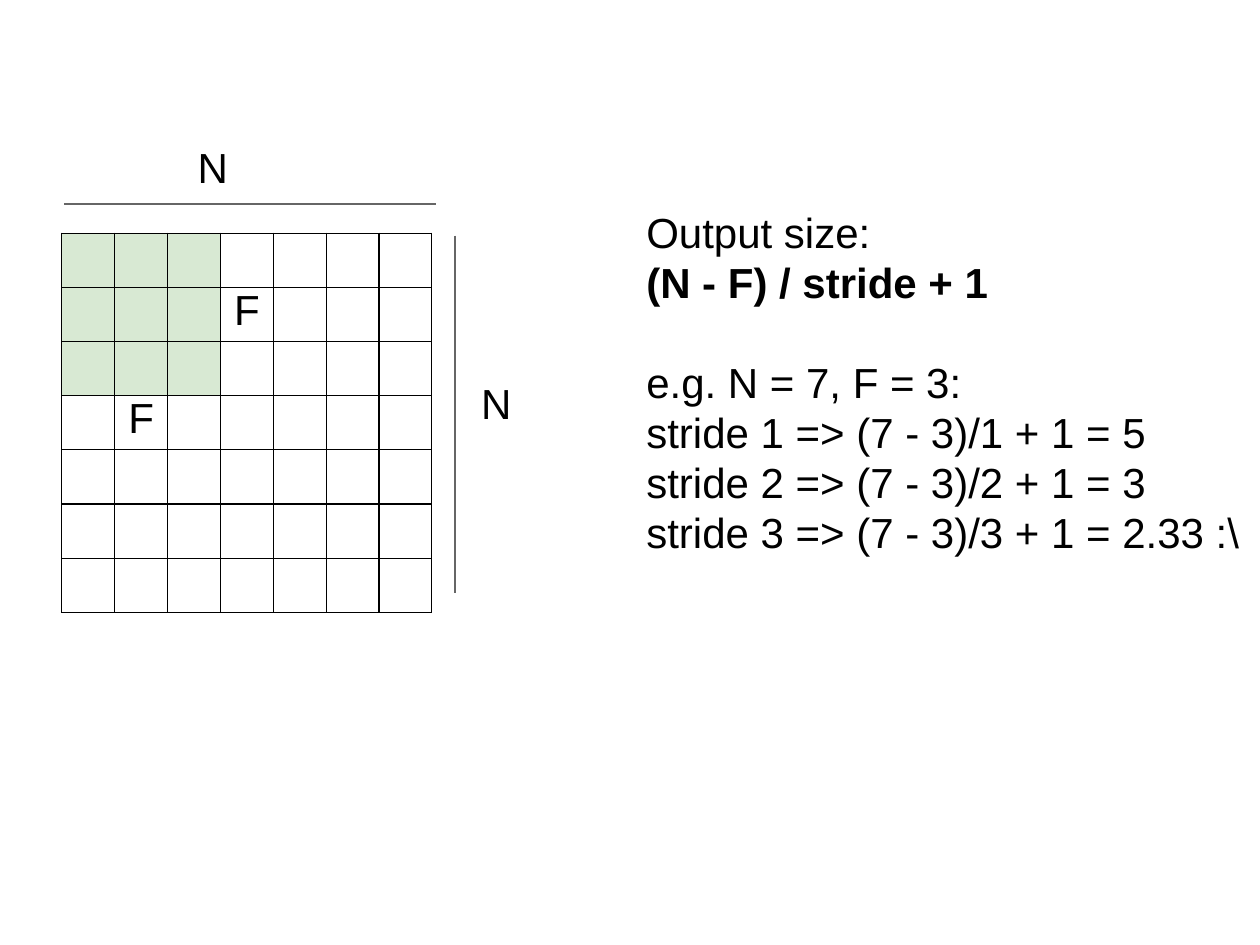
from lxml import etree
from pptx import Presentation
from pptx.dml.color import RGBColor
from pptx.enum.shapes import MSO_CONNECTOR
from pptx.oxml.ns import qn
from pptx.util import Inches, Pt

STRAIGHT = MSO_CONNECTOR.STRAIGHT
BLACK = RGBColor(0x00, 0x00, 0x00)
GRAY = RGBColor(0x66, 0x66, 0x66)
GREEN = RGBColor(0xD8, 0xE9, 0xD3)
FONT = "Arial"
SIZE = Pt(24)
LEAD = Pt(28.6)

N = 7
F = 3
LEFT, TOP = 0.49, 1.85
CELL_W, CELL_H = 0.42, 0.43
MARKS = {(1, 3): "F", (3, 1): "F"}
RULES = [(0.51, 1.62, 3.46, 1.62), (3.61, 1.87, 3.61, 4.71)]
TEXTS = [
    (1.56, 1.1, 0.27, 0.43, [("N", False)]),
    (3.81, 2.98, 0.27, 0.43, [("N", False)]),
    (5.12, 1.62, 2.74, 0.82, [
        ("Output size:", False),
        ("(N - F) / stride + 1", True),
    ]),
    (5.12, 2.81, 4.73, 1.62, [
        ("e.g. N = 7, F = 3:", False),
        ("stride 1 => (7 - 3)/1 + 1 = 5", False),
        ("stride 2 => (7 - 3)/2 + 1 = 3", False),
        ("stride 3 => (7 - 3)/3 + 1 = 2.33 :\\", False),
    ]),
]


def write(para, text, bold=False):
    run = para.add_run()
    run.text = text
    run.font.name = FONT
    run.font.size = SIZE
    run.font.bold = bold
    run.font.color.rgb = BLACK


def add_text(slide, x, y, w, h, lines):
    box = slide.shapes.add_textbox(Inches(x), Inches(y), Inches(w), Inches(h))
    frame = box.text_frame
    frame.word_wrap = False
    frame.margin_left = Inches(0.01)
    frame.margin_top = Inches(0.02)
    frame.margin_right = frame.margin_bottom = 0
    for i, (text, bold) in enumerate(lines):
        para = frame.add_paragraph() if i else frame.paragraphs[0]
        if len(lines) > 1:
            para.line_spacing = LEAD
        write(para, text, bold)


def add_rule(slide, x1, y1, x2, y2):
    rule = slide.shapes.add_connector(
        STRAIGHT, Inches(x1), Inches(y1), Inches(x2), Inches(y2))
    rule.line.color.rgb = GRAY
    rule.line.width = Pt(1.5)
    etree.SubElement(rule._element.spPr, qn("a:effectLst"))


def add_border(cell):
    props = cell._tc.get_or_add_tcPr()
    for side in ("lnL", "lnR", "lnT", "lnB"):
        line = etree.SubElement(props, qn("a:" + side), w=str(Pt(0.75)))
        fill = etree.SubElement(line, qn("a:solidFill"))
        etree.SubElement(fill, qn("a:srgbClr"), val=str(BLACK))


def add_grid(slide):
    table = slide.shapes.add_table(
        N, N, Inches(LEFT), Inches(TOP),
        Inches(N * CELL_W), Inches(N * CELL_H)).table
    table.first_row = table.horz_banding = False
    for i in range(N):
        table.columns[i].width = Inches(CELL_W)
        table.rows[i].height = Inches(CELL_H)
    for row in range(N):
        for col in range(N):
            cell = table.cell(row, col)
            add_border(cell)
            if row < F and col < F:
                cell.fill.solid()
                cell.fill.fore_color.rgb = GREEN
            else:
                cell.fill.background()
            if (row, col) in MARKS:
                cell.margin_left = Inches(0.11)
                cell.margin_top = cell.margin_right = cell.margin_bottom = 0
                write(cell.text_frame.paragraphs[0], MARKS[row, col])


def main():
    deck = Presentation()
    deck.slide_width, deck.slide_height = Inches(10), Inches(7.5)
    slide = deck.slides.add_slide(deck.slide_layouts[6])
    for rule in RULES:
        add_rule(slide, *rule)
    add_grid(slide)
    for text in TEXTS:
        add_text(slide, *text)
    deck.save("out.pptx")


if __name__ == "__main__":
    main()
